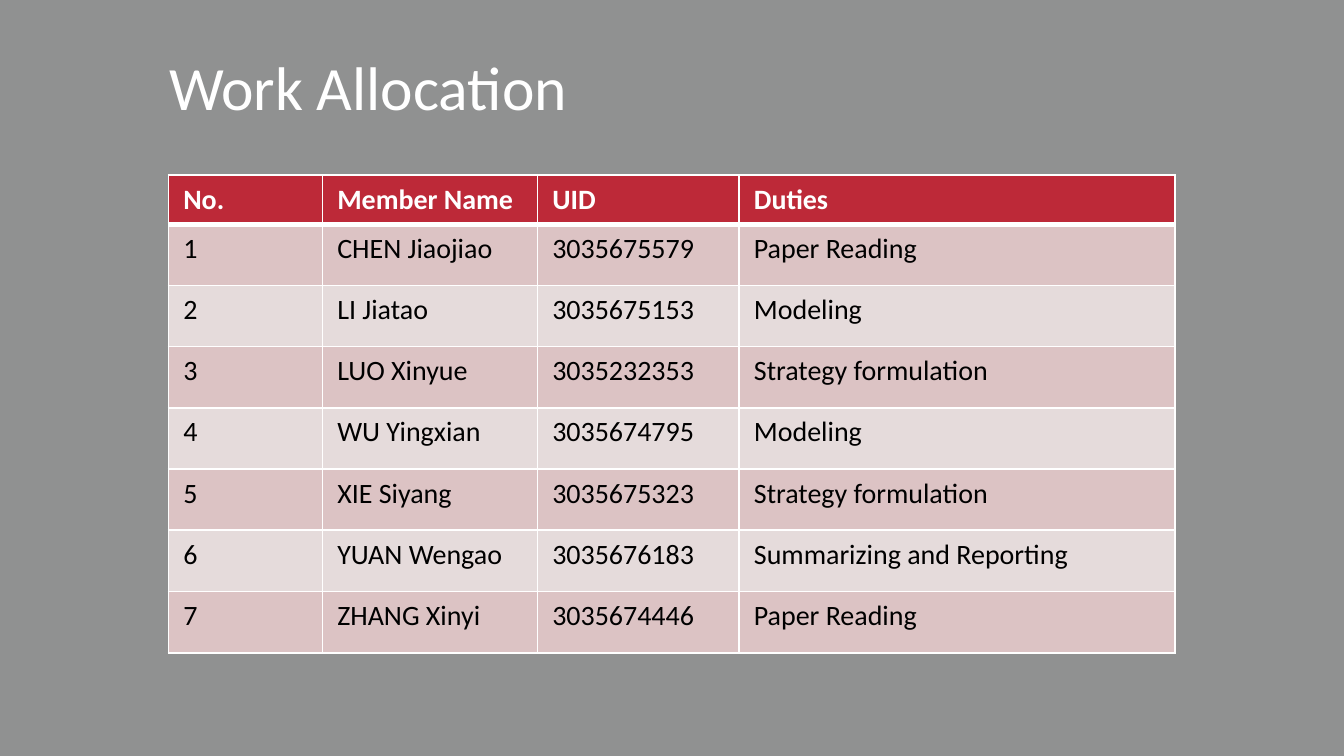
from lxml.etree import SubElement
from pptx import Presentation
from pptx.dml.color import RGBColor as RGB
from pptx.enum.shapes import MSO_SHAPE as SHAPE
from pptx.oxml import parse_xml
from pptx.oxml.ns import nsdecls, qn
from pptx.util import Pt

W, H = 720, 405
COLORS = {
    "paper": "F1F3F2", "shade": "000000", "white": "FFFFFF", "text": "000000",
    "header": "C51729", "band_dark": "EACCCD", "band_light": "F5E8E8",
}
COL_WIDTHS = [82.5, 115.2, 108, 233.6]
HEADER_H, ROW_H = 26.4, 32.8
ROWS = [
    ("No.", "Member Name", "UID", "Duties"),
    ("1", "CHEN Jiaojiao", "3035675579", "Paper Reading"),
    ("2", "LI Jiatao", "3035675153", "Modeling"),
    ("3", "LUO Xinyue", "3035232353", "Strategy formulation"),
    ("4", "WU Yingxian", "3035674795", "Modeling"),
    ("5", "XIE Siyang", "3035675323", "Strategy formulation"),
    ("6", "YUAN Wengao", "3035676183", "Summarizing and Reporting"),
    ("7", "ZHANG Xinyi", "3035674446", "Paper Reading"),
]


class Deck:
    """Slide style plus one method per kind of element."""

    font = "Calibri"

    def __init__(self, slide):
        self.s = slide

    def background(self, color):
        fill = self.s.background.fill
        fill.solid()
        fill.fore_color.rgb = RGB.from_string(COLORS[color])

    def fill(self, fill, color, opacity):
        fill.solid()
        fill.fore_color.rgb = RGB.from_string(COLORS[color])
        # Transparency has no public setter
        clr = fill._xPr.find(qn("a:solidFill"))[0]
        SubElement(clr, qn("a:alpha"), val=str(opacity * 1000))

    def rect(self, x, y, w, h, color, opacity):
        sp = self.s.shapes.add_shape(SHAPE.RECTANGLE, Pt(x), Pt(y), Pt(w), Pt(h))
        sp.shadow.inherit = False
        sp.line.fill.background()
        self.fill(sp.fill, color, opacity)

    def style(self, p, size, color, bold=False):
        p.font.name, p.font.size, p.font.bold = self.font, Pt(size), bold
        p.font.color.rgb = RGB.from_string(COLORS[color])

    def text(self, x, y, w, h, text, size, color):
        tf = self.s.shapes.add_textbox(Pt(x), Pt(y), Pt(w), Pt(h)).text_frame
        tf.word_wrap = True
        p = tf.paragraphs[0]
        p.text, p.line_spacing = text, 0.9
        self.style(p, size, color)

    def borders(self, cell, top, bottom):
        tcPr = cell._tc.get_or_add_tcPr()
        for i, (side, width) in enumerate(zip("LRTB", (1, 1, top, bottom))):
            tcPr.insert(i, parse_xml(
                f'<a:ln{side} {nsdecls("a")} w="{Pt(width)}"><a:solidFill>'
                f'<a:srgbClr val="{COLORS["white"]}"/></a:solidFill></a:ln{side}>'))

    def table(self, x, y, rows, col_widths, row_heights):
        table = self.s.shapes.add_table(
            len(rows), len(col_widths), Pt(x), Pt(y),
            Pt(sum(col_widths)), Pt(sum(row_heights))).table
        for col, width in zip(table.columns, col_widths):
            col.width = Pt(width)
        for r, (row, height) in enumerate(zip(rows, row_heights)):
            table.rows[r].height = Pt(height)
            band = "header" if r == 0 else "band_dark" if r % 2 else "band_light"
            for c, text in enumerate(row):
                cell = table.cell(r, c)
                cell.margin_left = cell.margin_right = Pt(8)
                cell.margin_top = cell.margin_bottom = Pt(4)
                p = cell.text_frame.paragraphs[0]
                p.text = text
                self.style(p, 15, "text" if r else "white", bold=r == 0)
                self.fill(cell.fill, band, 85)
                # A heavier rule separates the header from the body
                self.borders(cell, 3 if r == 1 else 1, 3 if r == 0 else 1)


def main():
    prs = Presentation()
    prs.slide_width, prs.slide_height = Pt(W), Pt(H)
    deck = Deck(prs.slides.add_slide(prs.slide_layouts[6]))

    # Dimmed backdrop
    deck.background("paper")
    deck.rect(0, 0, W, H, "shade", 40)

    # Member table
    heights = [HEADER_H] + [ROW_H] * (len(ROWS) - 1)
    deck.table(90.2, 93.7, ROWS, COL_WIDTHS, heights)

    # Title
    deck.text(83.5, 27.4, 471, 28, "Work Allocation", 33, "white")

    prs.save("out.pptx")


if __name__ == "__main__":
    main()
